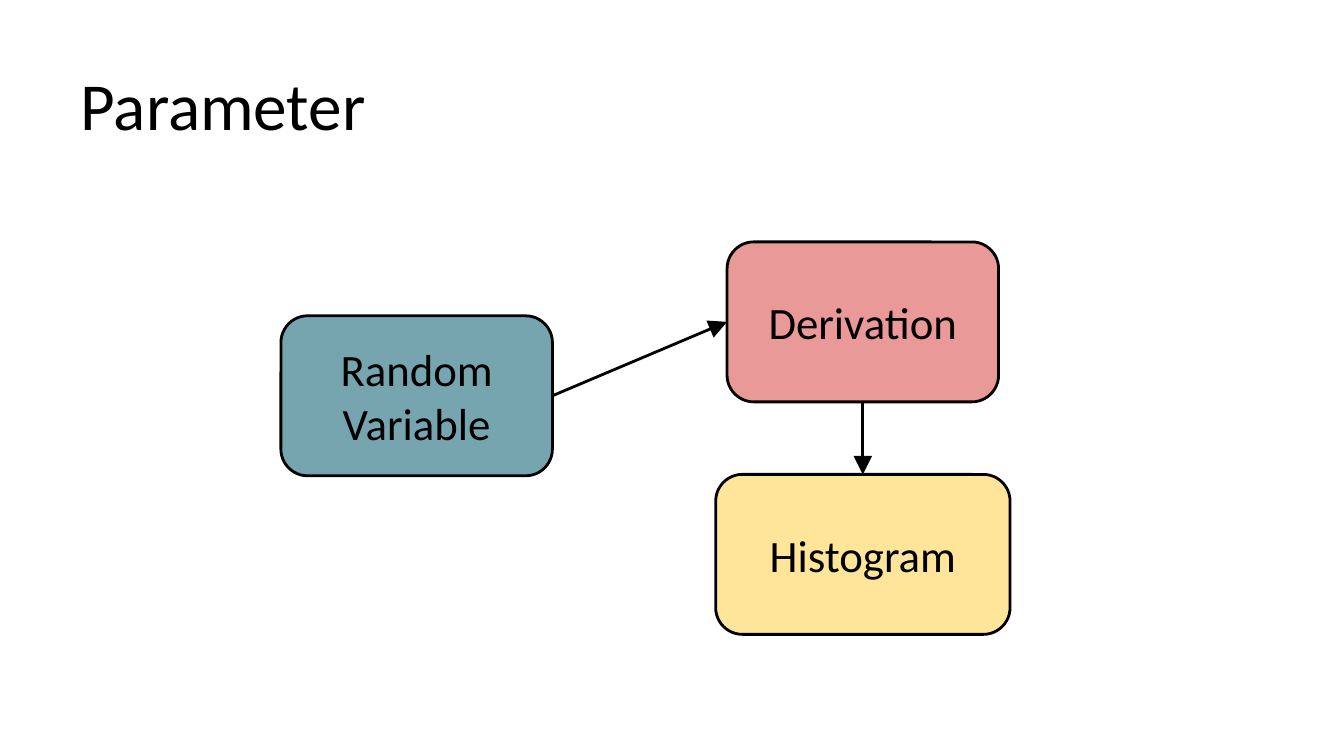
from dataclasses import dataclass
from pptx import Presentation
from pptx.dml.color import RGBColor as RGB
from pptx.enum.shapes import MSO_CONNECTOR as Conn, MSO_SHAPE as Shape
from pptx.enum.text import MSO_ANCHOR as Anchor, MSO_AUTO_SIZE as Fit, PP_ALIGN as Align
from pptx.oxml.ns import qn
from pptx.util import Inches, Pt
from lxml import etree

# Content: label, centre, top, width, fill
TITLE = "Parameter"
NODES = {
    "derive": ("Derivation", 6.42, 1.8, 2.02, "rose"),
    "chart": ("Histogram", 6.42, 3.53, 2.19, "sand"),
    "source": ("Random Variable", 3.1, 2.35, 2.02, "teal"),
}
TOP, LEFT, BOTTOM, RIGHT = range(4)  # connection sites
LINKS = [("derive", BOTTOM, "chart", TOP), ("source", RIGHT, "derive", LEFT)]
HIGH = 1.19


@dataclass
class Theme:
    font: str = "Calibri"
    ink: str = "000000"
    paper: str = "FFFFFF"
    teal: str = "76A5AF"
    rose: str = "EA9999"
    sand: str = "FFE599"
    head: int = 36
    body: int = 24
    line: float = 1.5


theme = Theme()


def color(name):
    return RGB.from_string(getattr(theme, name))


def write(shape, text, size=theme.body, align=Align.CENTER, anchor=Anchor.MIDDLE):
    frame = shape.text_frame
    frame.text = text
    frame.word_wrap = True
    frame.auto_size = Fit.NONE
    frame.vertical_anchor = anchor
    frame.margin_left = frame.margin_right = Inches(0.1)
    frame.margin_top = frame.margin_bottom = Inches(0.1)
    para = frame.paragraphs[0]
    para.alignment = align
    font = para.runs[0].font
    font.name, font.size = theme.font, Pt(size)
    font.color.rgb = color("ink")


def stroke(item):
    item.line.color.rgb = color("ink")
    item.line.width = Pt(theme.line)


def add_node(slide, text, centre, top, width, fill):
    box = slide.shapes.add_shape(
        Shape.ROUNDED_RECTANGLE, *map(Inches, (centre - width / 2, top, width, HIGH)))
    box.adjustments[0] = 0.167
    box.shadow.inherit = False
    box.fill.solid()
    box.fill.fore_color.rgb = color(fill)
    stroke(box)
    write(box, text)
    return box


def add_link(slide, start, out, end, into):
    link = slide.shapes.add_connector(Conn.STRAIGHT, 0, 0, 0, 0)
    link.begin_connect(start, out)
    link.end_connect(end, into)
    stroke(link)
    props = link._element.spPr
    etree.SubElement(props.find(qn("a:ln")), qn("a:tailEnd"),
                     type="triangle", w="lg", len="lg")
    etree.SubElement(props, qn("a:effectLst"))


# Slide (16:9) and title
deck = Presentation()
deck.slide_width = Inches(10)
deck.slide_height = deck.slide_width * 9 // 16
slide = deck.slides.add_slide(deck.slide_layouts[5])
slide.background.fill.solid()
slide.background.fill.fore_color.rgb = color("paper")
title = slide.shapes.title
title.left, title.top, title.width, title.height = map(Inches, (0.5, 0.23, 9, 0.94))
write(title, TITLE, size=theme.head, align=Align.LEFT, anchor=Anchor.BOTTOM)

# Nodes and arrows
boxes = {key: add_node(slide, *node) for key, node in NODES.items()}
for start, out, end, into in LINKS:
    add_link(slide, boxes[start], out, boxes[end], into)

deck.save("out.pptx")
